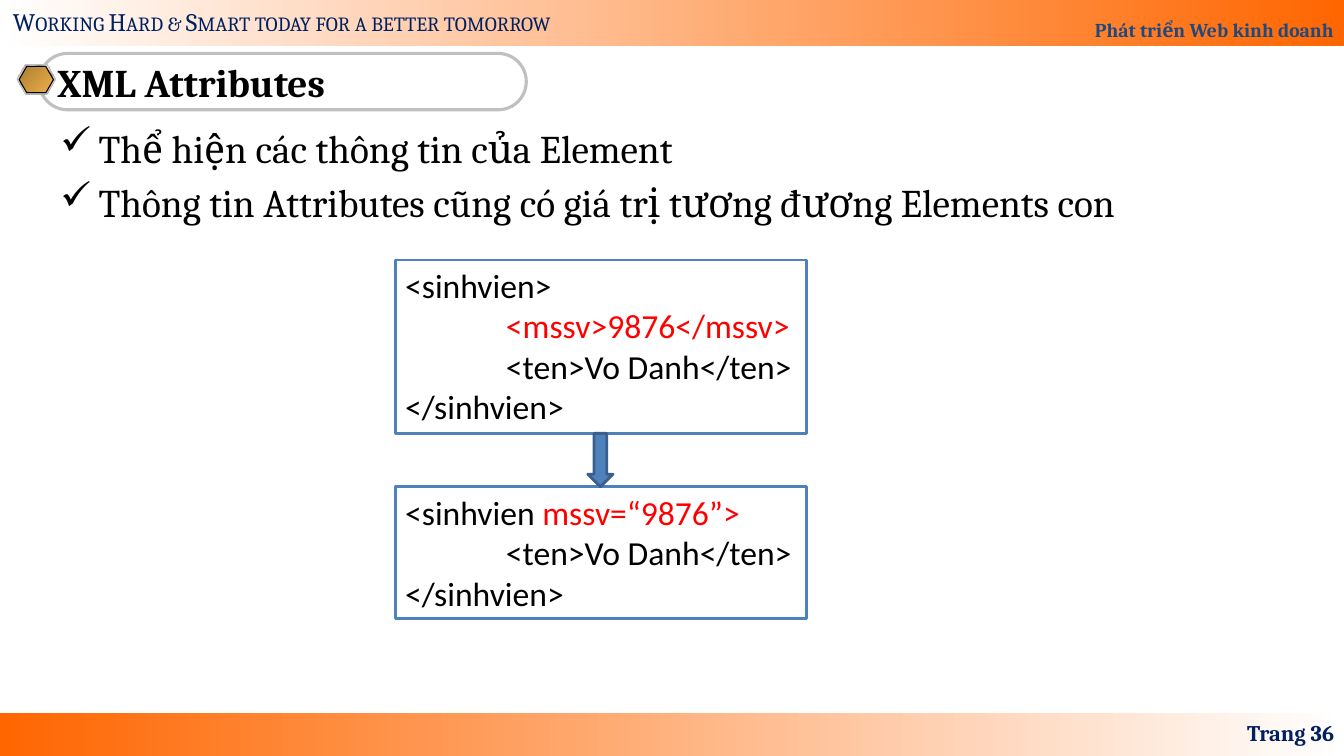
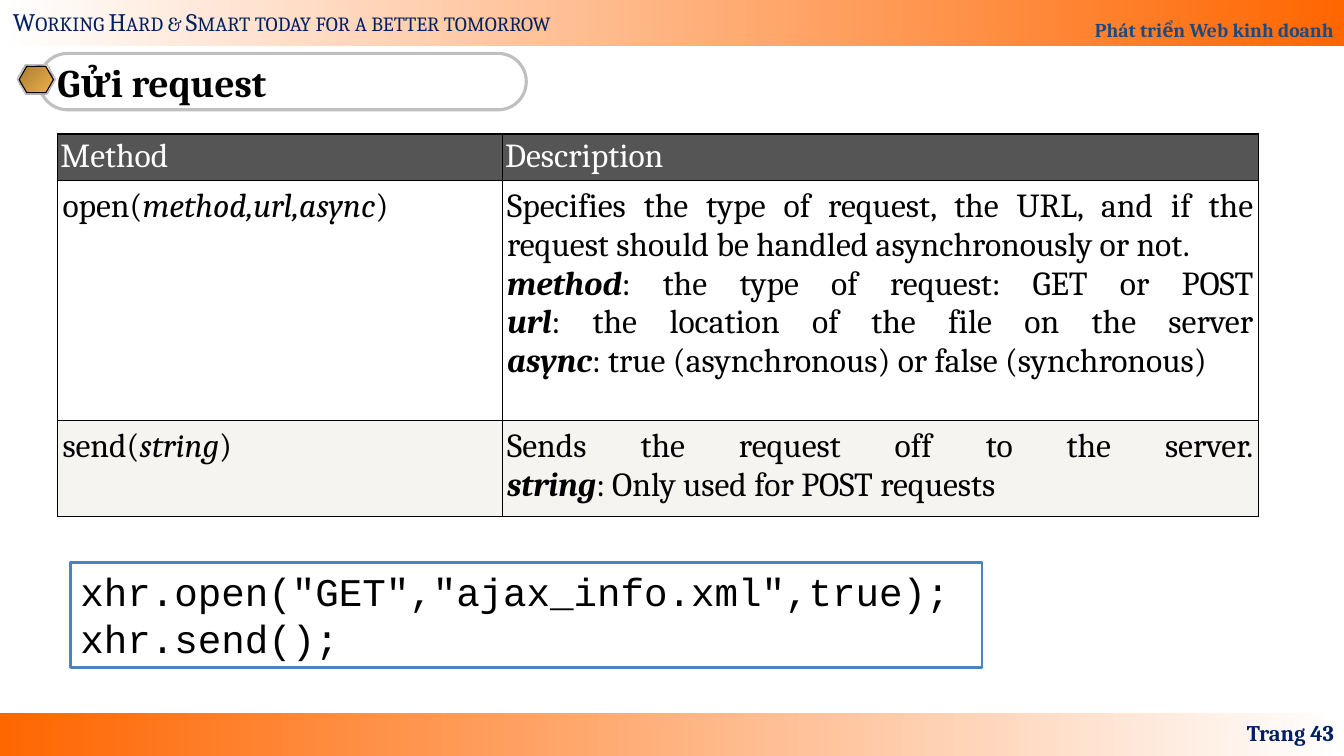
from dataclasses import dataclass

from lxml.etree import SubElement as Sub
from pptx import Presentation
from pptx.dml.color import RGBColor as Rgb
from pptx.enum.shapes import MSO_SHAPE as Geo
from pptx.enum.text import MSO_ANCHOR as Anchor, PP_ALIGN as Align
from pptx.oxml.ns import qn
from pptx.util import Inches, Pt


@dataclass(frozen=True)
class Theme:
    serif: str = "Cambria"
    sans: str = "Calibri"
    mono: str = "Courier New"
    black: str = "000000"
    white: str = "FFFFFF"
    orange: str = "FF6600"
    navy: str = "002060"
    blue: str = "1F497D"
    edge: str = "4F81BD"
    dark: str = "3A5F8C"
    red: str = "FF0000"
    gray: str = "808080"
    silver: str = "C0C0C0"
    head: str = "555555"
    pale: str = "F6F4F0"
    gold: tuple = ((0, "AB7E34"), (100, "EFB049"))
    steel: tuple = (
        (0, "E6E6E6"), (7, "7D8496"), (26, "E6E6E6"), (34, "7D8496"),
        (46, "E6E6E6"), (50, "FFFFFF"), (54, "E6E6E6"), (66, "7D8496"),
        (74, "E6E6E6"), (93, "7D8496"), (100, "E6E6E6"))
    big: int = 28
    code: int = 24
    motto: int = 18
    page: int = 16
    course: int = 14


T = Theme()
WIDE, HIGH = 13.33, 7.5


def paint(shape, stops, angle=0):
    shape.fill.gradient()
    shape.fill.gradient_angle = angle
    ramp = shape._element.spPr.find(".//" + qn("a:gsLst"))
    for stop in list(ramp):
        ramp.remove(stop)
    for pos, color in stops:
        stop = Sub(ramp, qn("a:gs"), pos=str(pos * 1000))
        Sub(stop, qn("a:srgbClr"), val=color)


def draw(slide, geo, box, fill=None, line=None, width=2, angle=0):
    shape = slide.shapes.add_shape(geo, *map(Inches, box))
    shape.shadow.inherit = False
    if fill is None:
        shape.fill.background()
    elif isinstance(fill, tuple):
        paint(shape, fill, angle)
    else:
        shape.fill.solid()
        shape.fill.fore_color.rgb = Rgb.from_string(fill)
    if line:
        shape.line.color.rgb = Rgb.from_string(line)
        shape.line.width = Pt(width)
    else:
        shape.line.fill.background()
    return shape


def style(para, size, face=T.serif, color=T.black, bold=None, align=Align.LEFT):
    para.alignment = align
    font = para.font
    font.size, font.name, font.bold = Pt(size), face, bold
    font.color.rgb = Rgb.from_string(color)


def write(para, parts):
    for text, marks in parts:
        for num, piece in enumerate(text.split("\n")):
            if num:
                para.add_line_break()
            if not piece:
                continue
            run = para.add_run()
            run.text = piece
            if "b" in marks:
                run.font.bold = True
            if "i" in marks:
                run.font.italic = True
            if "r" in marks:
                run.font.color.rgb = Rgb.from_string(T.red)


def lines(frame, rows):
    for num, parts in enumerate(rows):
        para = frame.add_paragraph() if num else frame.paragraphs[0]
        write(para, [(parts, "")] if isinstance(parts, str) else parts)
        yield para


def label(slide, box, text, size, color, anchor=Anchor.TOP, wrap=True, **look):
    frame = slide.shapes.add_textbox(*map(Inches, box)).text_frame
    frame.word_wrap = wrap
    frame.vertical_anchor = anchor
    for para in lines(frame, [text]):
        style(para, size, color=color, **look)
    return frame


def code(slide, box, rows, size, face):
    shape = draw(slide, Geo.RECTANGLE, box, T.white, T.edge)
    frame = shape.text_frame
    frame.word_wrap = True
    frame.vertical_anchor = Anchor.TOP
    for para in lines(frame, rows):
        tabs = Sub(para._p.get_or_add_pPr(), qn("a:tabLst"))
        Sub(tabs, qn("a:tab"), pos=str(Inches(1)), algn="l")
        style(para, size, face)


def checks(slide, box, rows):
    frame = slide.shapes.add_textbox(*map(Inches, box)).text_frame
    frame.word_wrap = True
    for num, para in enumerate(lines(frame, rows)):
        if num:
            para.space_before = Pt(T.big * 0.2)
        props = para._p.get_or_add_pPr()
        props.set("marL", str(Inches(0.38)))
        props.set("indent", str(-Inches(0.38)))
        Sub(props, qn("a:buChar"), char="✓")
        style(para, T.big)


def border(cell):
    props = cell._tc.get_or_add_tcPr()
    for side in ("a:lnL", "a:lnR", "a:lnT", "a:lnB"):
        edge = Sub(props, qn(side), w=str(Pt(1)))
        Sub(Sub(edge, qn("a:solidFill")), qn("a:srgbClr"), val=T.black)


def grid(slide, box, cols, highs, rows):
    table = slide.shapes.add_table(
        len(rows), len(cols), *map(Inches, box)).table
    for col, width in zip(table.columns, cols):
        col.width = Inches(width)
    fills = T.head, T.white, T.pale
    for num, (row, high, fill) in enumerate(zip(rows, highs, fills)):
        table.rows[num].height = Inches(high)
        padx, pady = (0.05, 0.07) if num else (0.03, 0.03)
        for cell, paras in zip(table.rows[num].cells, row):
            border(cell)
            cell.fill.solid()
            cell.fill.fore_color.rgb = Rgb.from_string(fill)
            cell.margin_left = cell.margin_right = Inches(padx)
            cell.margin_top = cell.margin_bottom = Inches(pady)
            for para in lines(cell.text_frame, paras):
                style(para, T.code, color=T.black if num else T.white,
                      align=Align.JUSTIFY)


def title(slide, text):
    pill = draw(slide, Geo.ROUNDED_RECTANGLE, (0.39, 0.53, 4.83, 0.56),
                line=T.silver, width=2.25)
    pill.adjustments[0] = 0.5
    frame = pill.text_frame
    frame.word_wrap = False
    frame.vertical_anchor = Anchor.MIDDLE
    for para in lines(frame, [text]):
        style(para, T.big, bold=True)
    for box, fill, line in (
            ((0.17, 0.65, 0.38, 0.29), T.gray, None),
            ((0.17, 0.64, 0.38, 0.29), T.steel, T.silver),
            ((0.19, 0.66, 0.34, 0.26), T.gold, T.black)):
        gem = draw(slide, Geo.HEXAGON, box, fill, line, 0.75, angle=315)
        gem.adjustments[0] = 0.289


def base(deck, name, page):
    slide = deck.slides.add_slide(deck.slide_layouts[6])
    draw(slide, Geo.RECTANGLE, (0, 7.07, WIDE, 0.43),
         ((0, T.orange), (100, T.white)))
    band = draw(slide, Geo.RECTANGLE, (0, 0, WIDE, 0.46),
                ((0, T.white), (100, T.orange)))
    band.text_frame.vertical_anchor = Anchor.BOTTOM
    for para in lines(band.text_frame, ["Phát triển Web kinh doanh"]):
        para.line_spacing = 1.8
        style(para, T.course, color=T.blue, bold=True, align=Align.RIGHT)
    motto = label(slide, (0.03, 0.01, 5.9, 0.4),
                  "Working Hard & Smart today for a better tomorrow",
                  T.motto, T.navy, wrap=False)
    motto.paragraphs[0].runs[0]._r.get_or_add_rPr().set("cap", "small")
    title(slide, name)
    label(slide, (10.22, 7.07, 3.11, 0.4), f"Trang {page}", T.page, T.navy,
          Anchor.MIDDLE, bold=True, align=Align.RIGHT)
    return slide


def attrs(deck):
    slide = base(deck, "XML Attributes", 36)
    checks(slide, (0.5, 1.18, 12.5, 5.74), [
        "Thể hiện các thông tin của Element",
        "Thông tin Attributes cũng có giá trị tương đương Elements con"])
    name, end = "\t<ten>Vo Danh</ten>", "</sinhvien>"
    code(slide, (3.92, 2.58, 4.08, 1.72), [
        "<sinhvien>", [("\t", ""), ("<mssv>9876</mssv>", "r")], name, end],
        T.code, T.sans)
    code(slide, (3.92, 4.83, 4.08, 1.31), [
        [("<sinhvien ", ""), ("mssv=“9876”>", "r")], name, end],
        T.code, T.sans)
    draw(slide, Geo.DOWN_ARROW, (5.83, 4.3, 0.25, 0.53), T.edge, T.dark)


def request(deck):
    slide = base(deck, "Gửi request", 43)
    grid(slide, (0.57, 1.33, 11.91, 3.79), (4.41, 7.5), (0.46, 2.38, 0.95), [
        (["Method"], ["Description"]),
        ([[("open(", ""), ("method,url,async", "i"), (")", "")]],
         ["Specifies the type of request, the URL, and if the request "
          "should be handled asynchronously or not.",
          [("method", "bi"), (": the type of request: GET or POST\n", ""),
           ("url", "bi"), (": the location of the file on the server\n", ""),
           ("async", "bi"),
           (": true (asynchronous) or false (synchronous)", "")]]),
        ([[("send(", ""), ("string", "i"), (")", "")]],
         [[("Sends the request off to the server.\n", ""),
           ("string", "bi"), (": Only used for POST requests", "")]])])
    code(slide, (0.7, 5.58, 9.04, 1.04), [
        'xhr.open("GET","ajax_info.xml",true);', "xhr.send();"],
        T.big, T.mono)


def main():
    deck = Presentation()
    deck.slide_width, deck.slide_height = Inches(WIDE), Inches(HIGH)
    attrs(deck)
    request(deck)
    deck.save("out.pptx")


if __name__ == "__main__":
    main()
